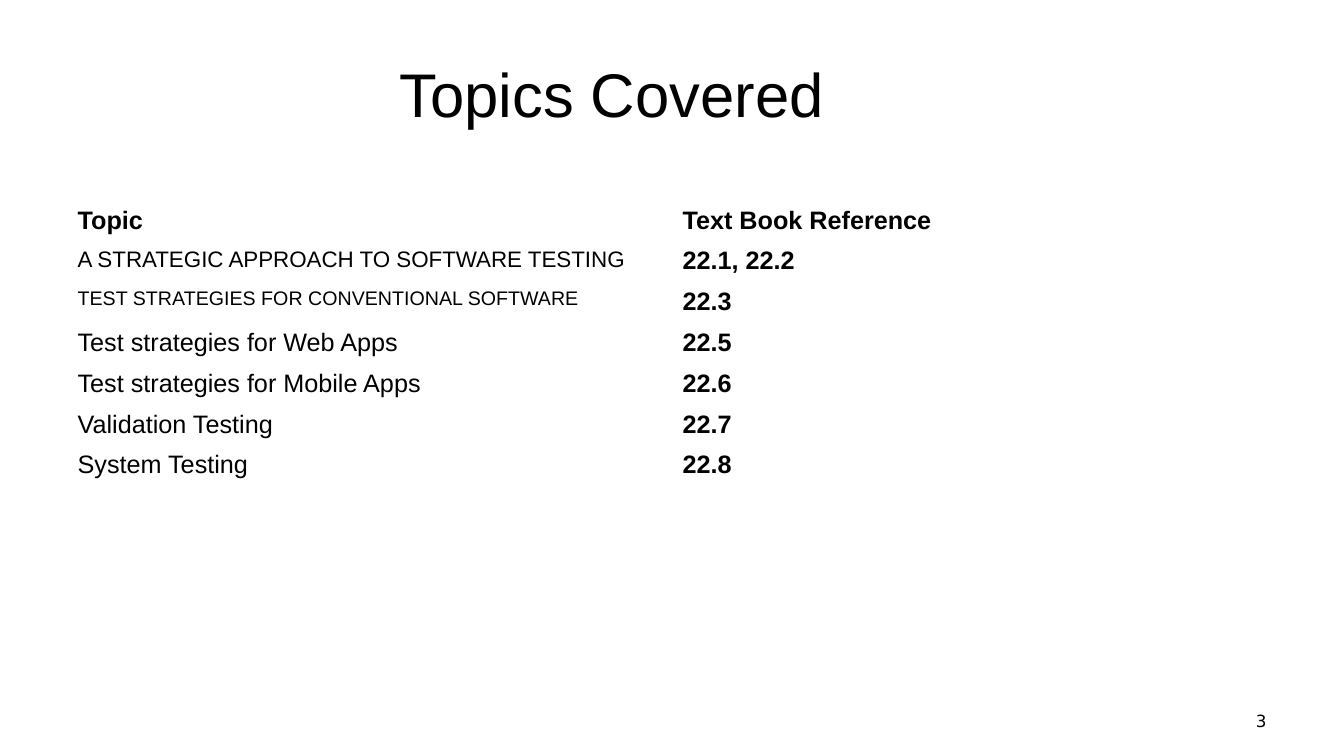
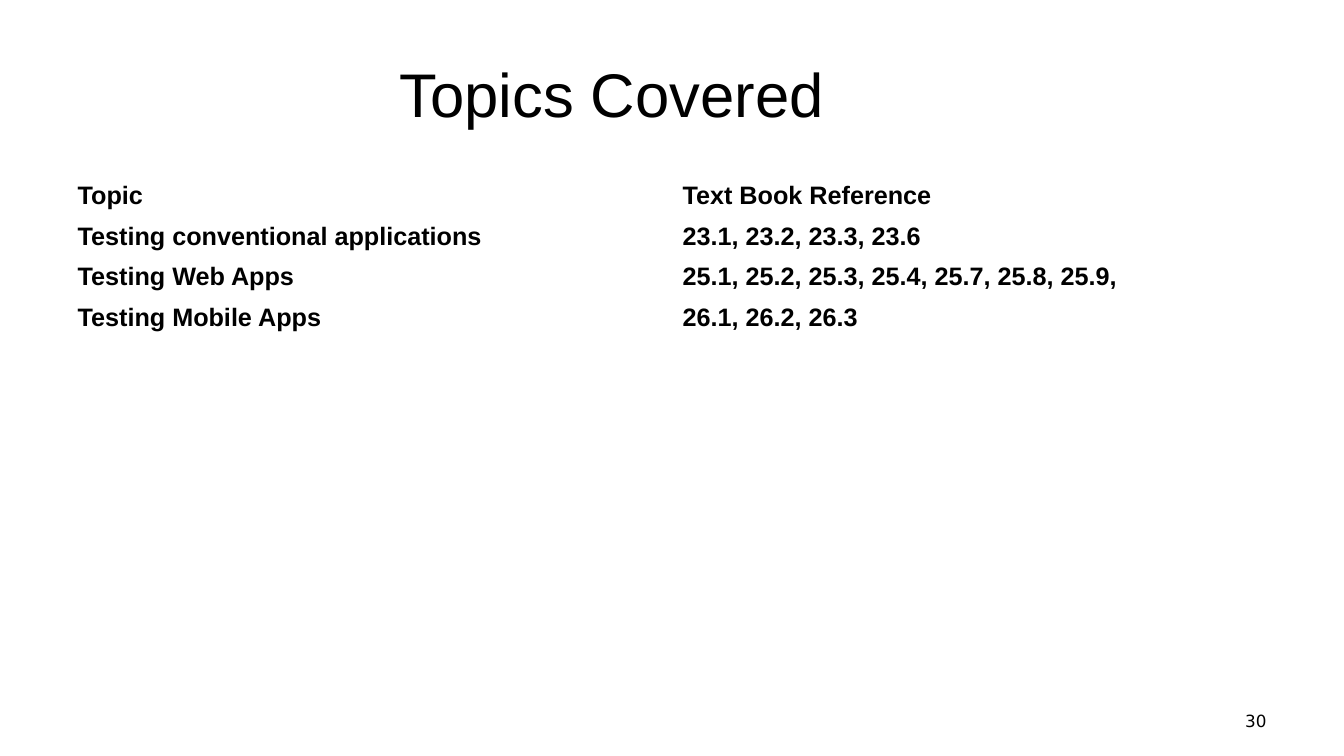
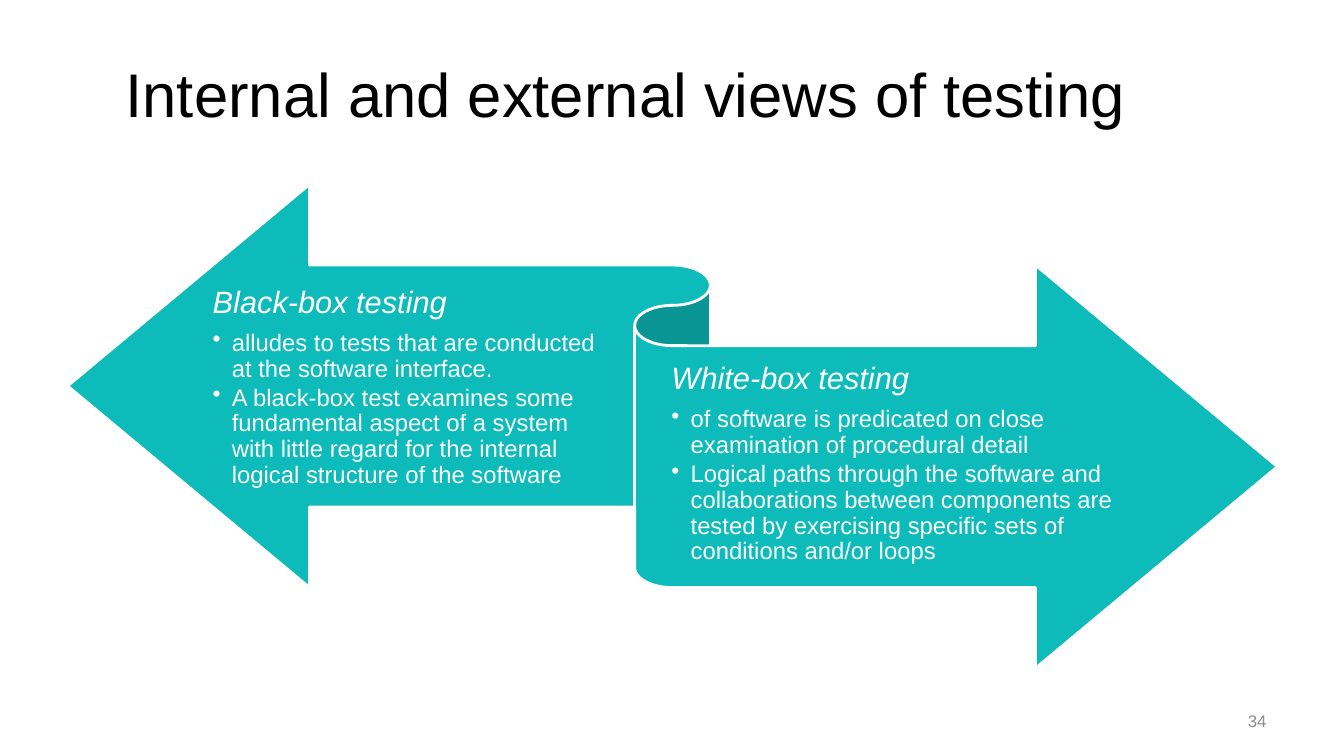
from lxml.etree import SubElement
from pptx import Presentation
from pptx.dml.color import RGBColor
from pptx.enum.shapes import MSO_SHAPE
from pptx.enum.text import MSO_ANCHOR, PP_ALIGN
from pptx.oxml.ns import qn
from pptx.util import Inches, Pt

BLACK = RGBColor(0x00, 0x00, 0x00)
WHITE = RGBColor(0xFF, 0xFF, 0xFF)
GRAY = RGBColor(0x8C, 0x8C, 0x8C)
TEAL = RGBColor(0x0D, 0xBB, 0xBB)
BODY_FONT = "Arial"
NUMBER_FONT = "DejaVu Sans"

# title, slide number, number font, number colour
SLIDES = [
    ("Topics Covered\t", "3", NUMBER_FONT, BLACK),
    ("Topics Covered\t", "30", NUMBER_FONT, BLACK),
    ("Internal and external views of testing", "34", BODY_FONT, GRAY),
]

# top, height and row count; each row holds topic, reference, topic size, topic bold
HEADER = ("Topic", "Text Book Reference", 18, True)
TABLES = [
    (2, 4.05, 10, [
        HEADER,
        ("A STRATEGIC APPROACH TO SOFTWARE TESTING", "22.1, 22.2", 16, False),
        ("TEST STRATEGIES FOR CONVENTIONAL SOFTWARE", "22.3", 14, False),
        ("Test strategies for Web Apps", "22.5", 18, False),
        ("Test strategies for Mobile Apps", "22.6", 18, False),
        ("Validation Testing", "22.7", 18, False),
        ("System Testing", "22.8", 18, False),
    ]),
    (1.75, 1.62, 4, [
        HEADER,
        ("Testing conventional applications", "23.1, 23.2, 23.3, 23.6", 18, True),
        ("Testing Web Apps", "25.1, 25.2, 25.3, 25.4, 25.7, 25.8, 25.9,", 18, True),
        ("Testing Mobile Apps", "26.1, 26.2, 26.3", 18, True),
    ]),
]

# left, top, width, heading, bullets
VIEWS = [
    (2.11, 2.67, 3.96, "Black-box testing", [
        "alludes to tests that are conducted at the software interface.",
        "A black-box test examines some fundamental aspect of a system with little "
        "regard for the internal logical structure of the software",
    ]),
    (6.66, 3.43, 4.68, "White-box testing", [
        "of software is predicated on close examination of procedural detail",
        "Logical paths through the software and collaborations between components "
        "are tested by exercising specific sets of conditions and/or loops",
    ]),
]


def add_frame(slide, left, top, width, height):
    """Add a wrapping, vertically centred text box and return its text frame."""
    box = slide.shapes.add_textbox(Inches(left), Inches(top), Inches(width), Inches(height))
    frame = box.text_frame
    frame.word_wrap = True
    frame.vertical_anchor = MSO_ANCHOR.MIDDLE
    return frame


def add_span(para, text, size, color=BLACK, name=BODY_FONT, bold=False, italic=False):
    span = para.add_run()
    span.text = text
    font = span.font
    font.name, font.size, font.bold, font.italic = name, Pt(size), bold, italic
    font.color.rgb = color


deck = Presentation()
deck.slide_width = Inches(13.33)
deck.slide_height = Inches(7.5)
pages = []

for title, number, number_font, number_color in SLIDES:
    page = deck.slides.add_slide(deck.slide_layouts[6])
    pages.append(page)
    para = add_frame(page, 0.67, 0.3, 11.08, 1.25).paragraphs[0]
    para.alignment = PP_ALIGN.CENTER
    add_span(para, title, 44)
    para = add_frame(page, 9.55, 6.95, 3.11, 0.4).paragraphs[0]
    para.alignment = PP_ALIGN.RIGHT
    add_span(para, number, 12, number_color, number_font)

for page, (top, height, row_count, rows) in zip(pages, TABLES):
    table = page.shapes.add_table(
        row_count, 2, Inches(0.67), Inches(top), Inches(12), Inches(height)).table
    table.first_row = False
    table.horz_banding = False
    for cell in table.iter_cells():
        cell.fill.background()
    for index, (topic, reference, size, bold) in enumerate(rows):
        add_span(table.cell(index, 0).text_frame.paragraphs[0], topic, size, bold=bold)
        add_span(table.cell(index, 1).text_frame.paragraphs[0], reference, 18, bold=True)
# The header of the longer table is slightly tighter than its other rows
pages[0].shapes[-1].table.rows[0].height = Inches(0.39)

views_page = pages[2]
ribbon = views_page.shapes.add_shape(
    MSO_SHAPE.LEFT_RIGHT_RIBBON, Inches(0.67), Inches(1.83), Inches(12), Inches(4.8))
ribbon.shadow.inherit = False
ribbon.fill.solid()
ribbon.fill.fore_color.rgb = TEAL
ribbon.line.color.rgb = WHITE
ribbon.line.width = Pt(2)

for left, top, width, heading, bullets in VIEWS:
    frame = add_frame(views_page, left, top, width, 2.35)
    frame.margin_left = frame.margin_right = 0
    frame.margin_top = frame.margin_bottom = Inches(0.09)
    para = frame.paragraphs[0]
    para.line_spacing = 0.9
    para.space_after = Pt(7.7)
    add_span(para, heading, 22, WHITE, italic=True)
    for bullet in bullets:
        para = frame.add_paragraph()
        para.level = 1
        para.line_spacing = 0.9
        para.space_after = Pt(2.5)
        properties = para._p.get_or_add_pPr()
        properties.set("marL", str(Inches(0.19)))
        properties.set("indent", str(-Inches(0.19)))
        SubElement(properties, qn("a:buChar"), char="•")
        add_span(para, bullet, 17, WHITE)

deck.save("out.pptx")
